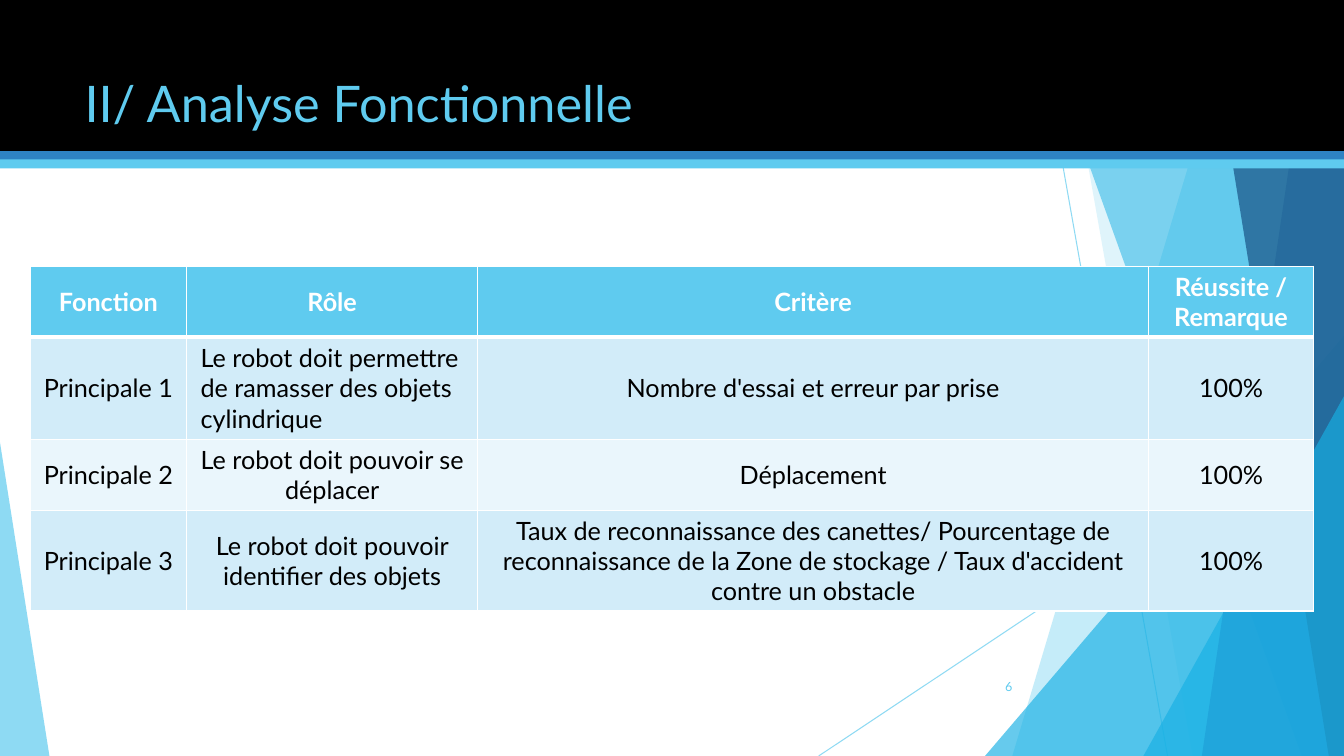
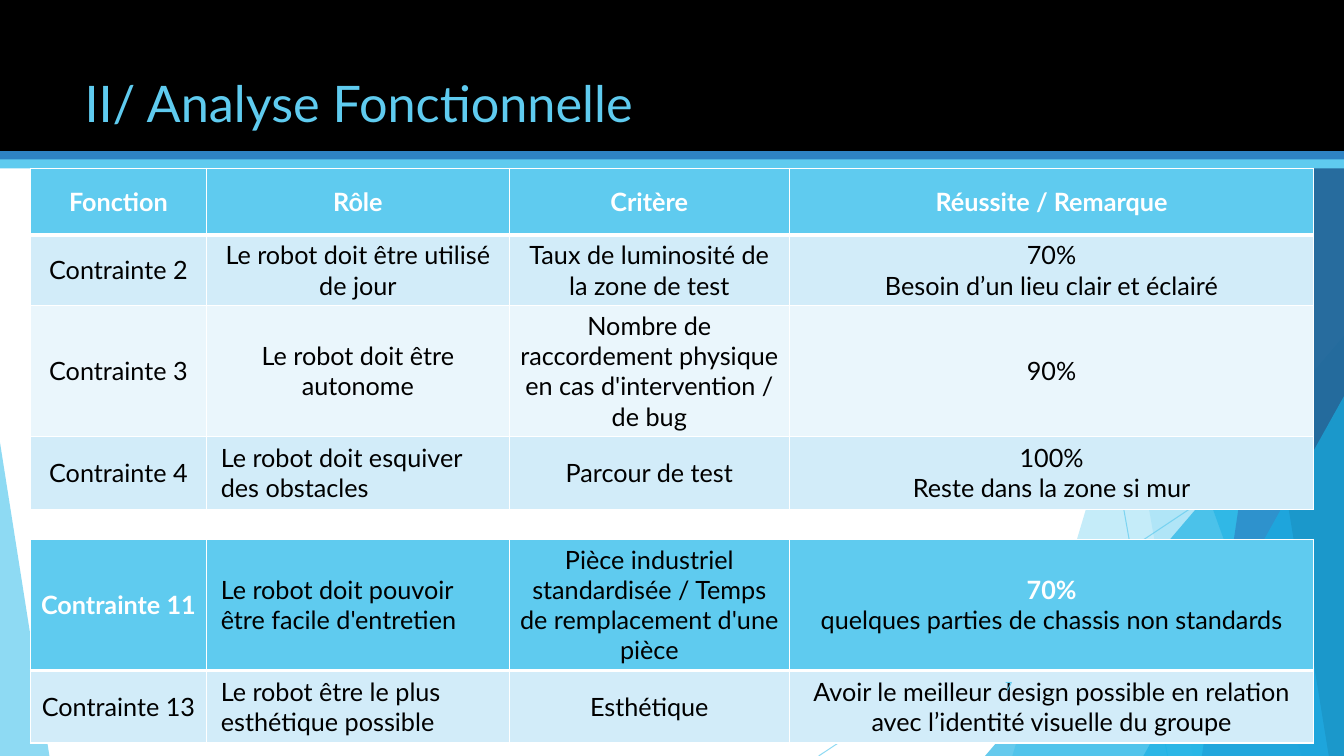
from lxml.etree import SubElement
from pptx import Presentation
from pptx.dml.color import RGBColor
from pptx.enum.shapes import MSO_CONNECTOR, MSO_SHAPE
from pptx.enum.text import MSO_ANCHOR, PP_ALIGN
from pptx.oxml.ns import qn
from pptx.util import Inches, Pt

# Content: "*" marks a bold white line, "<" a left-aligned cell
TITLE = "II/ Analyse Fonctionnelle"
HEAD = ["*Fonction", "*Rôle", "*Critère", "*Réussite / Remarque"]
WIDE = [1.75, 3, 2.78, 5.2]
PAGES = [
    {"num": "6", "tables": [
        {"top": 2.64, "cols": [1.55, 2.89, 6.65, 1.64], "rows": [
            HEAD,
            ["Principale 1",
             "<Le robot doit permettre de ramasser des objets cylindrique",
             "Nombre d'essai et erreur par prise", "100%"],
            ["Principale 2", "Le robot doit pouvoir se déplacer",
             "Déplacement", "100%"],
            ["Principale 3", "Le robot doit pouvoir identifier des objets",
             "Taux de reconnaissance des canettes/ Pourcentage de "
             "reconnaissance de la Zone de stockage / Taux d'accident "
             "contre un obstacle", "100%"],
        ]},
    ]},
    {"num": "7", "tables": [
        {"top": 1.67, "cols": WIDE, "rows": [
            HEAD,
            ["Contrainte 2", "Le robot doit être utilisé de jour",
             "Taux de luminosité de la zone de test",
             "70%\nBesoin d’un lieu clair et éclairé"],
            ["Contrainte 3", "Le robot doit être autonome",
             "Nombre de raccordement physique en cas d'intervention / de bug",
             "90%"],
            ["Contrainte 4", "<Le robot doit esquiver des obstacles",
             "Parcour de test", "100%\nReste dans la zone si mur"],
        ]},
        {"top": 5.35, "cols": WIDE, "rows": [
            ["*Contrainte 11", "<Le robot doit pouvoir être facile d'entretien",
             "Pièce industriel standardisée / Temps de remplacement d'une pièce",
             "*70%\nquelques parties de chassis non standards"],
            ["Contrainte 13", "<Le robot être le plus esthétique possible",
             "Esthétique",
             "Avoir le meilleur design possible en relation avec l’identité "
             "visuelle du groupe"],
        ]},
    ]},
]

# Shared style
FONT = "Lato"
WIDTH, HEIGHT = 13.33, 7.5
ROW = 0.66
HUE = {"sky": "5FCBEF", "cyan": "17B0E4", "blue": "2E83C3", "navy": "226292",
       "black": "000000", "white": "FFFFFF", "odd": "D2ECF9", "even": "EAF6FC"}

# Backdrop: thin lines, then facets (top x, bottom x) and triangles
# (left, top, width, height, tip), from back to front
LINES = [(10.25, 0, 11.58, 7.5), (13.33, 4.03, 8.12, 7.5)]
FACETS = [
    ((12.28, 10.04), "sky", 36),
    ((10.5, 11.83), "sky", 20),
    ((9.77, 3.33, 3.56, 4.17, 1), "cyan", 66),
    ((10.21, 12.91), "cyan", 50),
    ((13.03, 11.92), "blue", 70),
    ((11.96, 13.18), "navy", 80),
    ((11.34, 3.93, 1.99, 3.57, 1), "cyan", 66),
    ((0, 4.39, 0.49, 3.11, 0), "sky", 70),
]
BANDS = [(0, 1.5, "black"), (1.5, 0.09, "blue"), (1.58, 0.09, "sky")]


def rgb(hue):
    return RGBColor.from_string(HUE[hue])


def fade(part, pct):
    for clr in part.iter(qn("a:srgbClr")):
        SubElement(clr, qn("a:alpha"), val=str(pct * 1000))


def paint(shape, hue, pct=100):
    shape.shadow.inherit = False
    shape.fill.solid()
    shape.fill.fore_color.rgb = rgb(hue)
    shape.line.fill.background()
    if pct < 100:
        fade(shape.fill._xPr, pct)


def write(para, text, size, hue, bold=False):
    run = para.add_run()
    run.text = text
    run.font.name = FONT
    run.font.size = Pt(size)
    run.font.bold = bold
    run.font.color.rgb = rgb(hue)


def label(slide, box, text, size, align, anchor):
    frame = slide.shapes.add_textbox(*map(Inches, box)).text_frame
    frame.word_wrap = True
    frame.vertical_anchor = anchor
    frame.paragraphs[0].alignment = align
    write(frame.paragraphs[0], text, size, "sky")


def backdrop(slide):
    shapes = slide.shapes
    for ends in LINES:
        line = shapes.add_connector(MSO_CONNECTOR.STRAIGHT, *map(Inches, ends))
        line.line.color.rgb = rgb("sky")
        line.line.width = Pt(0.75)
        props = line._element.spPr
        fade(props, 70)
        SubElement(props, qn("a:effectLst"))
    for geom, hue, pct in FACETS:
        if len(geom) == 2:
            high, low = geom
            pen = shapes.build_freeform(Inches(high), Inches(-0.01))
            ends = [(WIDTH, -0.01), (WIDTH, HEIGHT), (low, HEIGHT)]
            pen.add_line_segments([(Inches(x), Inches(y)) for x, y in ends])
            shape = pen.convert_to_shape()
        else:
            *box, tip = geom
            shape = shapes.add_shape(MSO_SHAPE.ISOSCELES_TRIANGLE,
                                     *map(Inches, box))
            shape.adjustments[0] = tip
        paint(shape, hue, pct)
    for top, high, hue in BANDS:
        box = (0, top, WIDTH, high)
        paint(shapes.add_shape(MSO_SHAPE.RECTANGLE, *map(Inches, box)), hue)


def border(cell, row):
    props = cell._tc.get_or_add_tcPr()
    thick = {"lnT": row == 1, "lnB": row == 0}
    for side in ("lnL", "lnR", "lnT", "lnB"):
        width = Pt(3 if thick.get(side) else 1)
        edge = SubElement(props, qn("a:" + side), w=str(width))
        fill = SubElement(edge, qn("a:solidFill"))
        SubElement(fill, qn("a:srgbClr"), val=HUE["white"])


def fill_cell(cell, text, row):
    border(cell, row)
    cell.fill.solid()
    cell.fill.fore_color.rgb = rgb(
        "sky" if row == 0 else "odd" if row % 2 else "even")
    cell.vertical_anchor = MSO_ANCHOR.MIDDLE
    left = text.startswith("<")
    cell.margin_left = cell.margin_right = Inches(0.14 if left else 0.09)
    cell.margin_top = cell.margin_bottom = Inches(0.06 if left else 0.05)
    frame = cell.text_frame
    for i, part in enumerate(text.removeprefix("<").split("\n")):
        para = frame.add_paragraph() if i else frame.paragraphs[0]
        para.alignment = PP_ALIGN.LEFT if left else PP_ALIGN.CENTER
        bold = part.startswith("*")
        write(para, part.removeprefix("*"), 18,
              "white" if bold else "black", bold)


def grid(slide, top, cols, rows):
    box = (0.3, top, sum(cols), ROW * len(rows))
    table = slide.shapes.add_table(len(rows), len(cols),
                                   *map(Inches, box)).table
    for col, width in zip(table.columns, cols):
        col.width = Inches(width)
    for r, row in enumerate(rows):
        table.rows[r].height = Inches(ROW)
        for c, text in enumerate(row):
            fill_cell(table.cell(r, c), text, r)


def main():
    deck = Presentation()
    deck.slide_width, deck.slide_height = Inches(WIDTH), Inches(HEIGHT)
    for page in PAGES:
        slide = deck.slides.add_slide(deck.slide_layouts[6])
        backdrop(slide)
        label(slide, (0.74, 0.67, 9.4, 1.44), TITLE, 36,
              PP_ALIGN.LEFT, MSO_ANCHOR.TOP)
        for table in page["tables"]:
            grid(slide, **table)
        label(slide, (9.39, 6.61, 0.75, 0.4), page["num"], 9,
              PP_ALIGN.RIGHT, MSO_ANCHOR.MIDDLE)
    deck.save("out.pptx")


if __name__ == "__main__":
    main()
